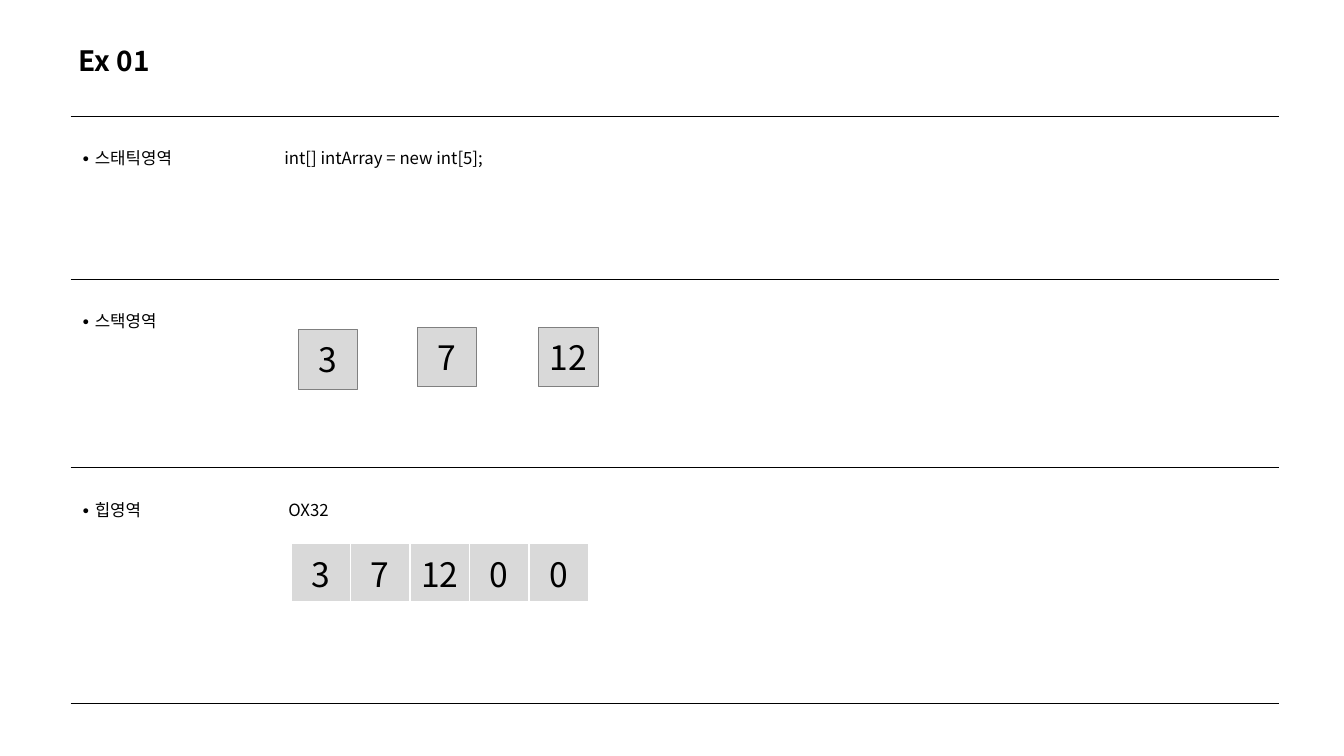
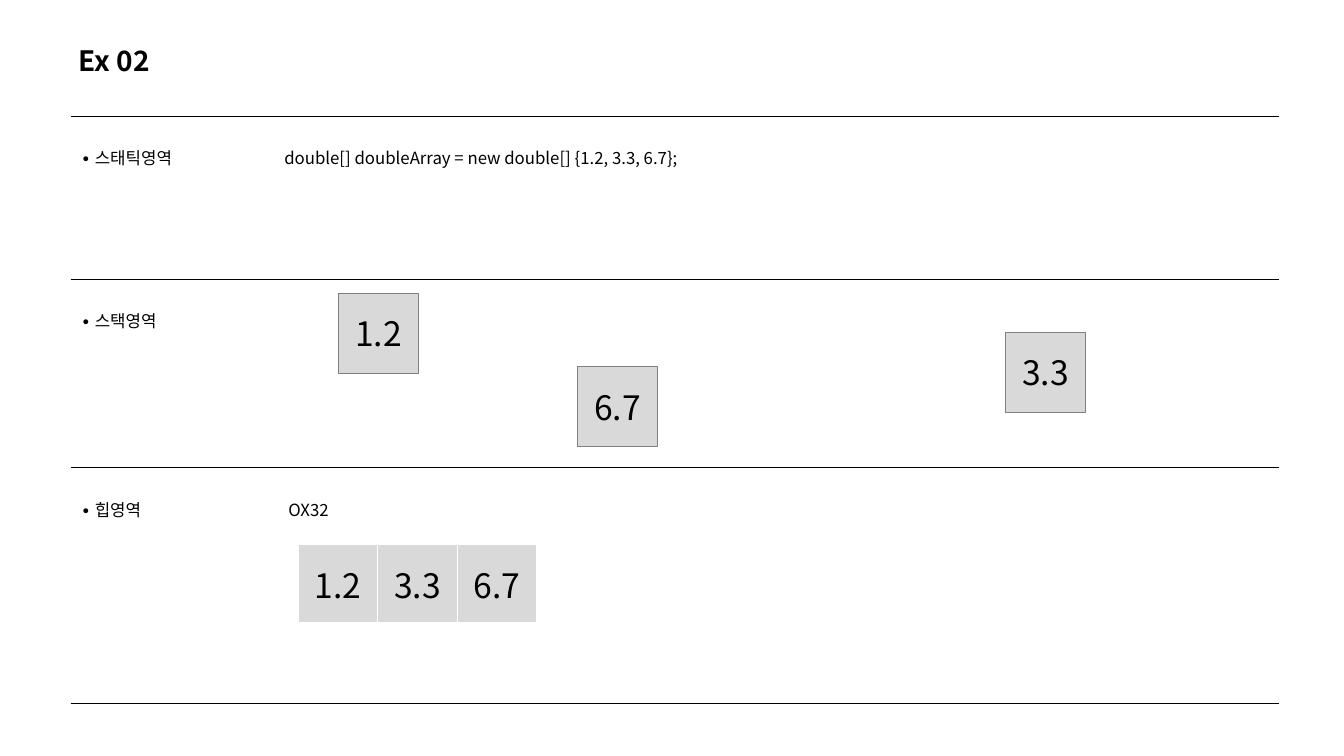
from collections import namedtuple
from lxml.etree import SubElement
from pptx import Presentation
from pptx.dml.color import RGBColor
from pptx.enum.shapes import MSO_SHAPE
from pptx.enum.text import MSO_ANCHOR, MSO_AUTO_SIZE, PP_ALIGN
from pptx.oxml.ns import qn
from pptx.util import Inches, Pt

BLACK = RGBColor(0x00, 0x00, 0x00)
WHITE = RGBColor(0xFF, 0xFF, 0xFF)
GRAY = RGBColor(0xD9, 0xD9, 0xD9)
EDGE = RGBColor(0x80, 0x80, 0x80)
FONT = "Noto Sans CJK KR"
WIDE, HIGH = 13.33, 7.5
COLS = (1.91, 10.08)
ROWS = (1.62, 1.87, 2.34)
LABELS = ("스태틱영역", "스택영역", "힙영역")
HEAP = "OX32"
DROP, HANG = 0.29, 0.14

Box = namedtuple("Box", "left top width height")
TITLE = Box(0.68, 0.38, 0.91, 0.44)
FRAME = Box(0.7, 1.15, sum(COLS), sum(ROWS))


def place(box):
    return [Inches(n) for n in box]


def area(row):
    return Box(FRAME.left + COLS[0], FRAME.top + sum(ROWS[:row]), COLS[1], ROWS[row])


def write(para, text, size, bold=False):
    run = para.add_run()
    run.text = text
    font = run.font
    font.size, font.bold, font.name = Pt(size), bold, FONT
    font.color.rgb = BLACK
    SubElement(font._element, qn("a:ea"), typeface=FONT)


def bullet(para):
    props = para._p.get_or_add_pPr()
    props.set("marL", str(Inches(HANG)))
    props.set("indent", str(-Inches(HANG)))
    SubElement(props, qn("a:buFont"), typeface=FONT)
    SubElement(props, qn("a:buChar"), char="∙")


def border(cell, sides, color, width):
    props = cell._tc.get_or_add_tcPr()
    for side in sides:
        line = SubElement(props, qn("a:ln" + side), w=str(Pt(width)))
        if color is None:
            SubElement(line, qn("a:noFill"))
        else:
            fill = SubElement(line, qn("a:solidFill"))
            SubElement(fill, qn("a:srgbClr"), val=str(color))


def grid(slide, box, cols, rows):
    table = slide.shapes.add_table(len(rows), len(cols), *place(box)).table
    table.first_row = table.horz_banding = False
    for col, width in zip(table.columns, cols):
        col.width = Inches(width)
    for row, height in zip(table.rows, rows):
        row.height = Inches(height)
    return table


def title(slide, box, text):
    frame = slide.shapes.add_textbox(*place(box)).text_frame
    frame.word_wrap = False
    frame.auto_size = MSO_AUTO_SIZE.SHAPE_TO_FIT_TEXT
    write(frame.paragraphs[0], text, 20, True)


def regions(slide, box, code):
    table = grid(slide, box, COLS, ROWS)
    for cell in table.iter_cells():
        border(cell, "LR", None, 0)
        border(cell, "TB", BLACK, 0.5)
        cell.fill.background()
        cell.margin_top = Inches(DROP)
    for row, label in enumerate(LABELS):
        para = table.cell(row, 0).text_frame.paragraphs[0]
        bullet(para)
        write(para, label, 12)
    for row, text, inset in ((0, code, 0.21), (2, HEAP, 0.25)):
        cell = table.cell(row, 1)
        cell.margin_left = Inches(inset)
        write(cell.text_frame.paragraphs[0], text, 12)


def stack(slide, box, side, chips):
    for text, col, row in chips:
        spot = Box(box.left + col * side, box.top + row * side, side, side)
        chip = slide.shapes.add_shape(MSO_SHAPE.RECTANGLE, *place(spot))
        chip.shadow.inherit = False
        chip.fill.solid()
        chip.fill.fore_color.rgb = GRAY
        chip.line.color.rgb = EDGE
        chip.line.width = Pt(0.5)
        frame = chip.text_frame
        frame.vertical_anchor = MSO_ANCHOR.MIDDLE
        para = frame.paragraphs[0]
        para.alignment = PP_ALIGN.CENTER
        write(para, text, 24)


def heap(slide, box, side, col, row, items):
    count = len(items)
    spot = Box(box.left + col * side, box.top + row * side, count * side, side)
    table = grid(slide, spot, [side] * count, [side])
    for cell, text in zip(table.iter_cells(), items):
        border(cell, "LRT", WHITE, 1)
        border(cell, "B", WHITE, 3)
        cell.fill.solid()
        cell.fill.fore_color.rgb = GRAY
        cell.vertical_anchor = MSO_ANCHOR.MIDDLE
        cell.margin_left = cell.margin_right = Inches(0.08)
        cell.margin_top = cell.margin_bottom = Inches(0.04)
        para = cell.text_frame.paragraphs[0]
        para.alignment = PP_ALIGN.CENTER
        write(para, text, 24)


def memory(deck, name, code, side, chips, start, items):
    slide = deck.slides.add_slide(deck.slide_layouts[6])
    regions(slide, FRAME, code)
    title(slide, TITLE, name)
    stack(slide, area(1), side, chips)
    heap(slide, area(2), side, *start, items)


deck = Presentation()
deck.slide_width, deck.slide_height = Inches(WIDE), Inches(HIGH)
memory(deck, "Ex 01", "int[] intArray = new int[5];", 0.59,
       (("3", 0.59, 0.85), ("7", 2.59, 0.81), ("12", 4.63, 0.81)),
       (0.47, 1.27), ("3", "7", "12", "0", "0"))
memory(deck, "Ex 02", "double[] doubleArray = new double[] {1.2, 3.3, 6.7};", 0.79,
       (("1.2", 0.95, 0.18), ("3.3", 9.32, 0.67), ("6.7", 3.95, 1.1)),
       (0.44, 0.96), ("1.2", "3.3", "6.7"))
deck.save("out.pptx")
